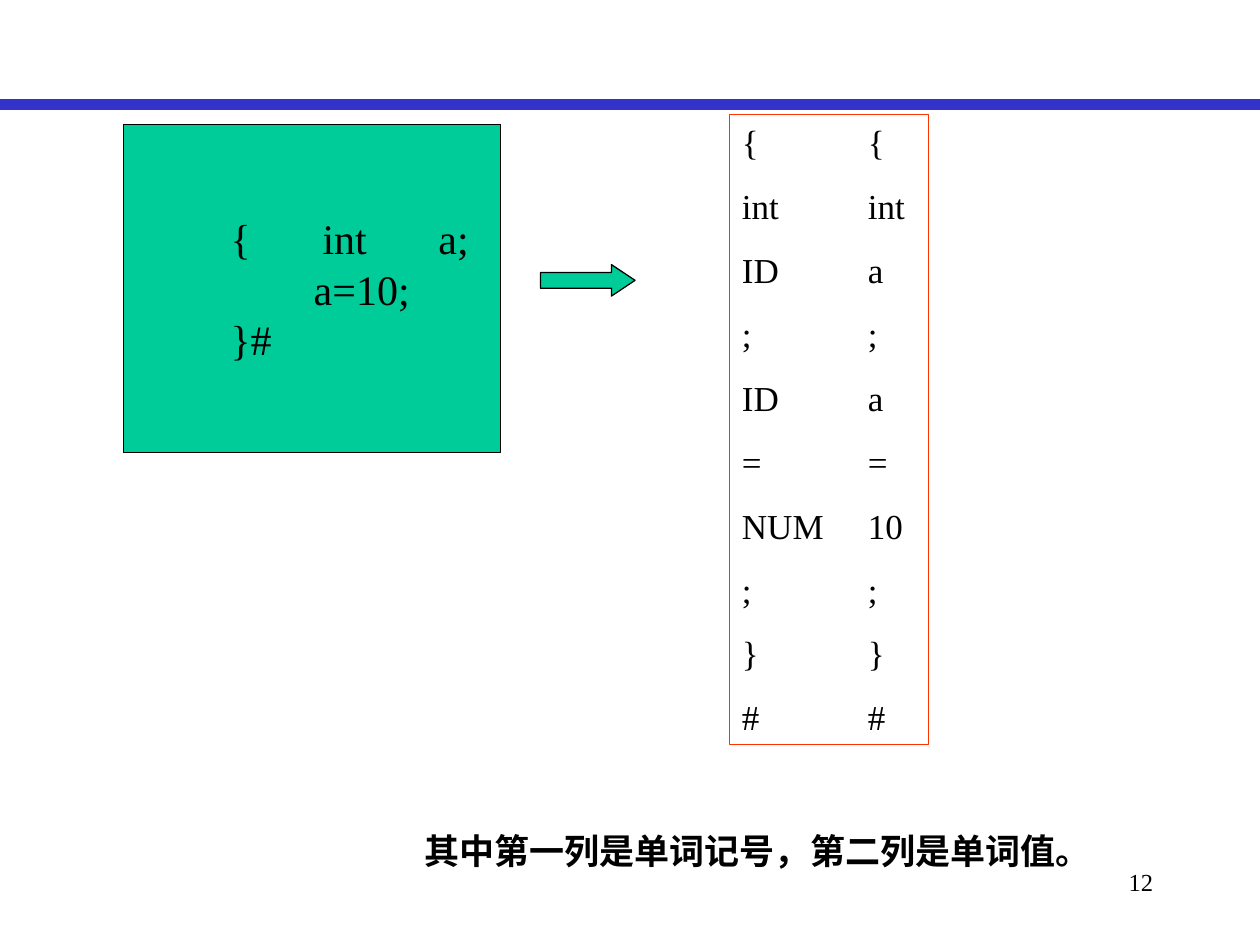
"""Builds a slide that shows a short program split into its tokens."""
from lxml import etree
from pptx import Presentation
from pptx.dml.color import RGBColor
from pptx.enum.shapes import MSO_CONNECTOR, MSO_SHAPE
from pptx.enum.text import MSO_ANCHOR, PP_ALIGN
from pptx.oxml.ns import qn
from pptx.util import Inches, Pt

STRAIGHT = MSO_CONNECTOR.STRAIGHT
RECTANGLE, RIGHT_ARROW = MSO_SHAPE.RECTANGLE, MSO_SHAPE.RIGHT_ARROW
TOP, MIDDLE, BOTTOM = MSO_ANCHOR.TOP, MSO_ANCHOR.MIDDLE, MSO_ANCHOR.BOTTOM
LEFT, RIGHT = PP_ALIGN.LEFT, PP_ALIGN.RIGHT

TOKENS = [("{", "{"), ("int", "int"), ("ID", "a"), (";", ";"), ("ID", "a"),
          ("=", "="), ("NUM", "10"), (";", ";"), ("}", "}"), ("#", "#")]
CODE = [("{\tint\ta;", (0.73, 1.65)), ("\ta=10;", (0.66,)), ("}#", ())]


def rgb(code):
    return RGBColor.from_string(code)


def write(frame, lines, size=20, bold=False, align=LEFT, anchor=TOP,
          before=0, spacing=None, inset=0.1):
    """Fill a text frame with (text, tab stops) lines in one format."""
    frame.word_wrap = True
    frame.vertical_anchor = anchor
    frame.margin_left = Inches(inset)
    for number, (text, stops) in enumerate(lines):
        paragraph = frame.add_paragraph() if number else frame.paragraphs[0]
        paragraph.alignment = align
        paragraph.space_before = Pt(before if number else 0)
        paragraph.line_spacing = spacing
        run = paragraph.add_run()
        run.text = text
        run.font.name = "Times New Roman"
        run.font.size = Pt(size)
        run.font.bold = bold
        run.font.color.rgb = rgb(Style.ink)
        if stops:
            tabs = etree.SubElement(paragraph._p.get_or_add_pPr(), qn("a:tabLst"))
            for stop in stops:
                etree.SubElement(tabs, qn("a:tab"), pos=str(Inches(stop)), algn="l")


class Style:
    """Holds the slide's colours and draws its elements."""
    ink, green, blue, red = "000000", "00CC99", "3333CC", "FF3300"

    def __init__(self, slide):
        self.slide = slide

    def rule(self, y, width, color):
        line = self.slide.shapes.add_connector(
            STRAIGHT, 0, Inches(y), Inches(10), Inches(y))
        line.line.color.rgb = rgb(color)
        line.line.width = Pt(width)
        etree.SubElement(line._element.spPr, qn("a:effectLst"))

    def shape(self, kind, box, line, fill=None):
        shape = self.slide.shapes.add_shape(kind, *map(Inches, box))
        shape.shadow.inherit = False
        shape.line.color.rgb = rgb(line)
        shape.line.width = Pt(0.75)
        if fill:
            shape.fill.solid()
            shape.fill.fore_color.rgb = rgb(fill)
        else:
            shape.fill.background()
        return shape

    def text(self, box, text, **layout):
        label = self.slide.shapes.add_textbox(*map(Inches, box))
        write(label.text_frame, [(text, ())], **layout)


def main():
    deck = Presentation()
    deck.slide_width, deck.slide_height = Inches(10), Inches(7.5)
    page = Style(deck.slides.add_slide(deck.slide_layouts[6]))

    page.text((7.17, 6.83, 2.08, 0.5), "12", size=14, align=RIGHT)
    page.rule(0.83, 6, Style.blue)
    page.text((3.27, 6.03, 7.42, 0.94), "其中第一列是单词记号，第二列是单词值。",
              bold=True, anchor=BOTTOM)

    token_list = page.shape(RECTANGLE, (5.79, 0.91, 1.58, 5), Style.red)
    write(token_list.text_frame,
          [("\t".join(pair), (1,)) for pair in TOKENS], before=12.5)

    arrow = page.shape(RIGHT_ARROW, (4.29, 2.1, 0.75, 0.25), Style.ink, Style.green)
    arrow.adjustments[0], arrow.adjustments[1] = 0.5, 0.75

    program = page.shape(RECTANGLE, (0.98, 0.99, 2.99, 2.6), Style.ink, Style.green)
    write(program.text_frame, CODE, size=24, anchor=MIDDLE,
          spacing=Pt(28.8), inset=0.85)

    deck.save("out.pptx")


if __name__ == "__main__":
    main()
